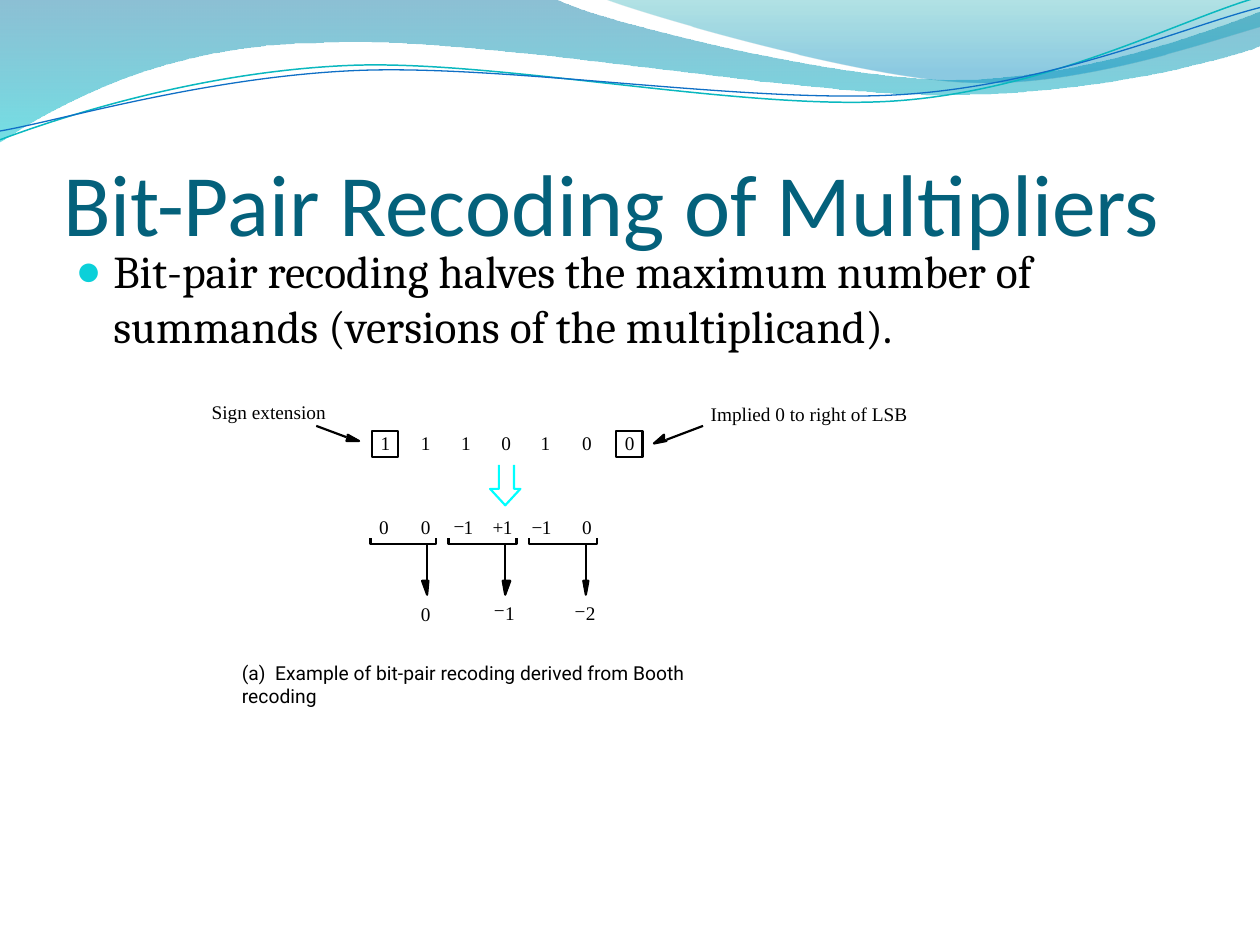
import pptx
import pptx.util
import pptx.dml.color
import pptx.enum.shapes
import pptx.enum.text
import pptx.oxml
import pptx.oxml.ns
from pptx.util import Inches

COLORS = {"title": "04617B", "text": "000000", "bullet": "0BD0D9", "cyan": "00FFFF",
          "teal line": "0AB8BF", "blue line": "0F6FC6"}
AUTO_SIZE = pptx.enum.text.MSO_AUTO_SIZE

TITLE = "Bit-Pair Recoding of Multipliers"
BODY = "Bit-pair recoding halves the maximum number of summands (versions of the multiplicand)."
CAPTION = "(a)  Example of bit-pair recoding derived from Booth recoding"

# Rows of symbols: top, then each symbol with its left edge
SYMBOL_ROWS = [
    (3.42, [("1", 3.02), ("1", 3.34), ("1", 3.66), ("0", 3.98), ("1", 4.29), ("0", 4.62), ("0", 4.96)]),
    (4.09, [("0", 3.01), ("0", 3.34), ("1", 3.68), ("+", 3.91), ("1", 3.99),
            ("−", 4.22), ("1", 4.3), ("0", 4.62)]),
    (4.08, [("−", 3.6)]),
    (4.75, [("−", 3.92)]),
    (4.76, [("−", 4.56)]),
    (4.77, [("1", 4.01), ("2", 4.65)]),
    (4.78, [("0", 3.34)]),
]
BOX_LEFTS = (2.95, 4.89)
BRACKETS = [(2.94, 3.46), (3.56, 4.1), (4.2, 4.74)]
LABELS = [("Sign extension", 1.68, 3.18, 1), ("Implied 0 to right of LSB", 5.64, 3.19, 1.63)]
# Shaft start, shaft end, arrowhead outline
ARROWS = [
    ((5.29, 3.49), (5.58, 3.38), [(5.27, 3.45), (5.19, 3.52), (5.29, 3.5), (5.27, 3.49)]),
    ((2.75, 3.47), (2.51, 3.38), [(2.75, 3.5), (2.85, 3.5), (2.76, 3.45), (2.76, 3.47)]),
]
# Downward arrows: x of the shaft, left and right of the head
for shaft, head_left, head_right in [(3.39, 3.35, 3.4), (4.01, 3.99, 4.05), (4.65, 4.63, 4.67)]:
    ARROWS.append(((shaft, 4.61), (shaft, 4.32),
                   [(head_left, 4.61), (shaft, 4.72), (head_right, 4.61), (shaft, 4.61)]))
DOWN_ARROW = [(4.08, 3.69), (4.08, 3.88), (4.13, 3.88), (4.01, 4.01),
              (3.89, 3.88), (3.96, 3.88), (3.96, 3.69)]

# Wave outlines: a pair is a corner, three pairs are a Bezier curve
WAVES = [
    {"outline": [(0, -0.01), (4.4, -0.01),
                 ((4.76, 0.17), (6.64, 0.63), (7.58, 0.63)),
                 ((8.53, 0.63), (9.58, 0.26), (10, 0.09)), (10.01, 0.36),
                 ((9.83, 0.44), (8.7, 0.76), (7.46, 0.75)),
                 ((6.22, 0.75), (3.82, 0.28), (2.57, 0.34)),
                 ((1.29, 0.35), (0.46, 0.83), (-0.01, 1.13)), (0, -0.01)],
     "gradient": [(0, "0074A1", 45), (1, "00C6CF", 55)]},
    {"outline": [(4.79, -0.01), ((5.09, 0.11), (6.82, 0.62), (7.69, 0.65)),
                 ((8.56, 0.69), (9.61, 0.32), (10, 0.21)), (10, 0), (4.79, -0.01)],
     "gradient": [(0, "00A1A9", 30), (0.8, "008BBF", 45)]},
    {"outline": [(0, 1.11), ((0.48, 0.93), (1.58, 0.57), (2.77, 0.52)),
                 ((3.95, 0.47), (5.93, 0.89), (7.13, 0.8)),
                 ((8.33, 0.71), (9.38, 0.15), (9.98, -0.02))],
     "line": "teal line", "weight": 0.85},
    {"outline": [(0, 1.04), ((0.47, 0.96), (1.64, 0.61), (2.83, 0.56)),
                 ((4.03, 0.51), (5.97, 0.83), (7.17, 0.75)),
                 ((8.36, 0.67), (9.41, 0.21), (10, 0.06))],
     "line": "blue line", "weight": 0.75},
]


def rgb(value):
    return pptx.dml.color.RGBColor.from_string(value)


def add_xml(parent, tag, **attributes):
    child = pptx.oxml.parse_xml(f"<a:{tag} {pptx.oxml.ns.nsdecls('a')}/>")
    for name, value in attributes.items():
        child.set(name, str(value))
    parent.append(child)
    return child


def write(frame, text, font="Times New Roman", size=11, color="text",
          margins=(0, 0, 0, 0), wrap=False, anchor="TOP", fit=AUTO_SIZE.SHAPE_TO_FIT_TEXT):
    frame.margin_left, frame.margin_top, frame.margin_right, frame.margin_bottom = map(Inches, margins)
    frame.auto_size = fit
    frame.word_wrap = wrap
    frame.vertical_anchor = pptx.enum.text.MSO_ANCHOR[anchor]
    para = frame.paragraphs[0]
    para.alignment = pptx.enum.text.PP_ALIGN.LEFT
    span = para.add_run()
    span.text = text
    span.font.name, span.font.size = font, pptx.util.Pt(size)
    span.font.color.rgb = rgb(COLORS[color])
    return para


def add_label(page, text, left, top, width, **style):
    box = page.shapes.add_textbox(*map(Inches, (left, top, width, 0.18)))
    write(box.text_frame, text, **style)


def set_line(shape, color="text", weight=1.25):
    shape.line.color.rgb = rgb(COLORS[color])
    shape.line.width = pptx.util.Pt(weight)


def add_outline(page, points, close=False):
    points = [(Inches(x), Inches(y)) for x, y in points]
    builder = page.shapes.build_freeform(*points[0], scale=1.0)
    builder.add_line_segments(points[1:], close=close)
    shape = builder.convert_to_shape()
    shape.shadow.inherit = False
    shape.fill.background()
    return shape


def add_arrow(page, start, end, head):
    set_line(add_outline(page, head + head[:1]))
    solid = add_outline(page, head + head[:1], close=True)
    solid.fill.solid()
    solid.fill.fore_color.rgb = rgb(COLORS["text"])
    set_line(solid, weight=0)
    line = page.shapes.add_connector(pptx.enum.shapes.MSO_CONNECTOR.STRAIGHT,
                                     *map(Inches, start + end))
    set_line(line)
    add_xml(line._element.spPr, "effectLst")


def add_wave(page, wave, depth):
    filled = "gradient" in wave
    points = []
    for item in wave["outline"]:
        points.extend(item if isinstance(item[0], tuple) else [item])
    shape = add_outline(page, points, close=filled)
    # Turn each run of three curve points into one Bezier segment
    segments = iter(shape._element.xpath(".//a:lnTo"))
    for item in wave["outline"][1:]:
        first = next(segments)
        if isinstance(item[0], tuple):
            curve = add_xml(first.getparent(), "cubicBezTo")
            first.addprevious(curve)
            for segment in (first, next(segments), next(segments)):
                curve.append(segment[0])
                segment.getparent().remove(segment)
    page.shapes._spTree.insert(2 + depth, shape._element)
    if not filled:
        set_line(shape, wave["line"], wave["weight"])
        return
    shape.line.fill.background()
    shape.fill.gradient()
    shape.fill.gradient_angle = 270
    for stop, (position, color, opacity) in zip(shape.fill.gradient_stops, wave["gradient"]):
        stop.position = position
        stop.color.rgb = rgb(color)
        add_xml(stop._gs[0], "alpha", val=opacity * 1000)


def place(holder, left, top, width, height):
    holder.left, holder.top, holder.width, holder.height = map(Inches, (left, top, width, height))


def main():
    deck = pptx.Presentation()
    deck.slide_width, deck.slide_height = Inches(10), Inches(7.5)
    page = deck.slides.add_slide(deck.slide_layouts[1])

    # Wave header, behind the text
    for depth, wave in enumerate(WAVES):
        add_wave(page, wave, depth)

    # Title and bullet
    title, body = page.shapes.title, page.placeholders[1]
    place(title, 0.5, 0.77, 9, 1.25)
    write(title.text_frame, TITLE, font="Calibri", size=50, color="title",
          margins=(0, 0.05, 0, 0), wrap=True, anchor="BOTTOM", fit=AUTO_SIZE.NONE)
    place(body, 0.5, 1.88, 9, 1.29)
    bullet = write(body.text_frame, BODY, font="Cambria", size=26,
                   margins=(0.1, 0.05, 0.1, 0.05), wrap=True, fit=AUTO_SIZE.NONE)
    properties = bullet._p.get_or_add_pPr()
    properties.set("marL", str(Inches(0.3)))
    properties.set("indent", str(Inches(-0.3)))
    add_xml(add_xml(properties, "buClr"), "srgbClr", val=COLORS["bullet"])
    add_xml(properties, "buSzPct", val=95000)
    add_xml(properties, "buChar", char="●")

    # Digits and signs
    for top, symbols in SYMBOL_ROWS:
        for symbol, left in symbols:
            add_label(page, symbol, left, top, 0.08 if symbol == "−" else 0.09)

    # Boxed bits, brackets and arrows
    for left in BOX_LEFTS:
        square = page.shapes.add_shape(pptx.enum.shapes.MSO_SHAPE.RECTANGLE,
                                       *map(Inches, (left, 3.42, 0.21, 0.21)))
        square.shadow.inherit = False
        square.fill.background()
        set_line(square)
    for left, right in BRACKETS:
        set_line(add_outline(page, [(right, 4.27), (right, 4.32), (left, 4.32), (left, 4.27)]))
    for arrow in ARROWS:
        add_arrow(page, *arrow)
    set_line(add_outline(page, DOWN_ARROW), "cyan")

    # Labels and caption
    for label in LABELS:
        add_label(page, *label)
    add_label(page, CAPTION, 1.92, 5.25, 4.13, font="Roboto", wrap=True)

    deck.save("out.pptx")


if __name__ == "__main__":
    main()
